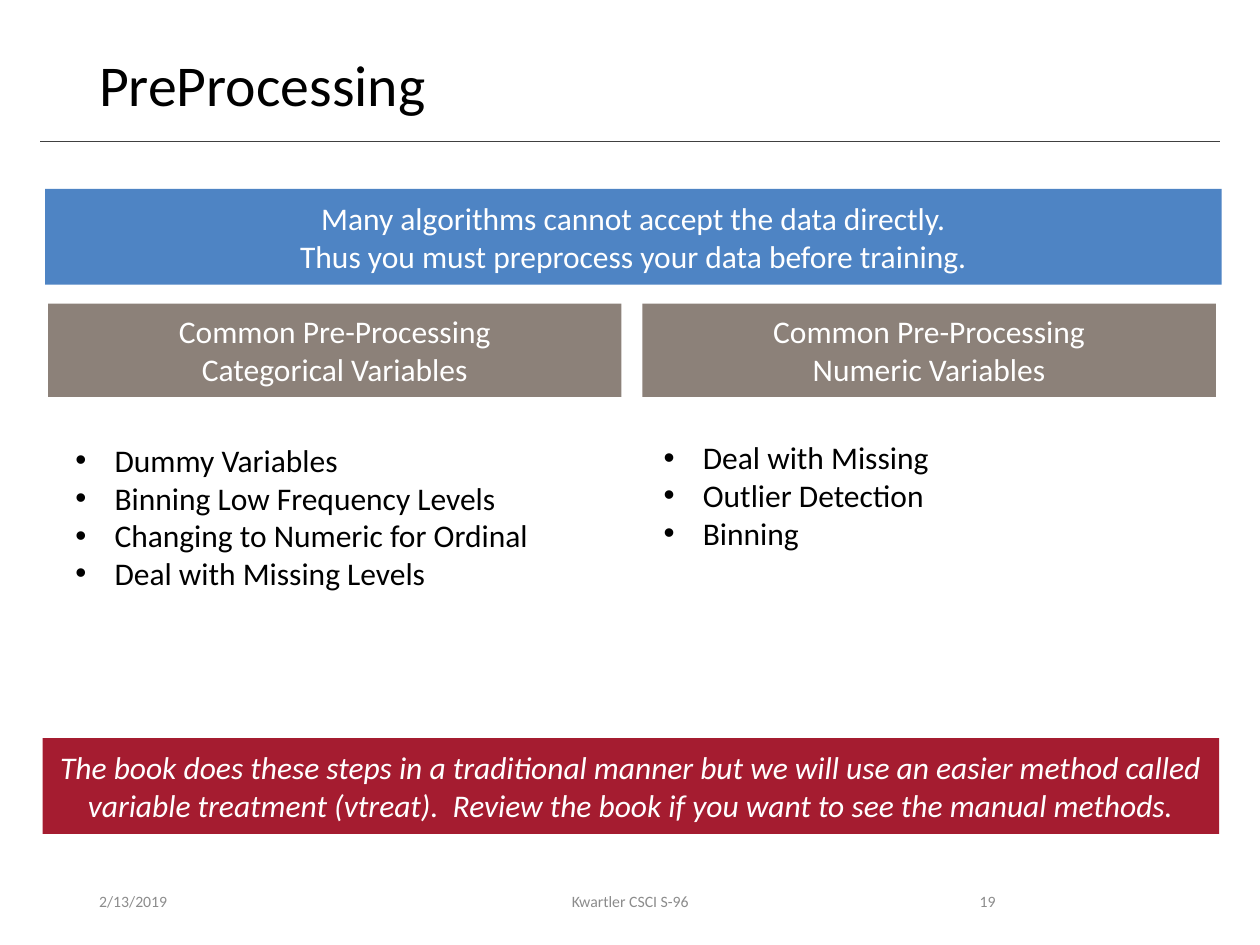
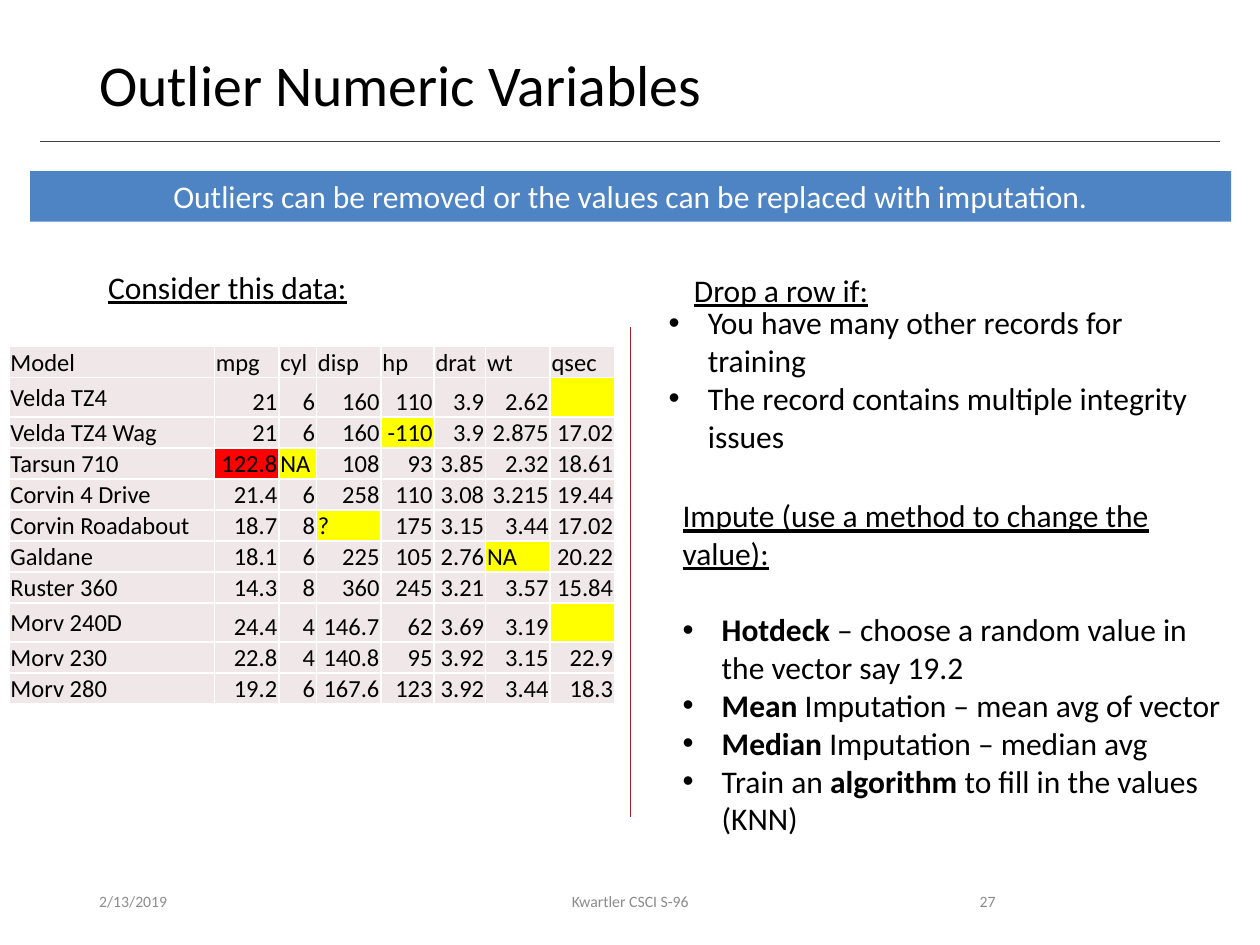
import pptx
import pptx.dml.color
import pptx.enum.shapes
import pptx.enum.text
import pptx.oxml
import pptx.oxml.ns
import pptx.util

Cm = pptx.util.Cm
Pt = pptx.util.Pt
RGBColor = pptx.dml.color.RGBColor
Align = pptx.enum.text.PP_ALIGN
Anchor = pptx.enum.text.MSO_ANCHOR

BLACK = RGBColor(0x00, 0x00, 0x00)
WHITE = RGBColor(0xFF, 0xFF, 0xFF)
BLUE = RGBColor(0x4E, 0x84, 0xC4)
TAUPE = RGBColor(0x8C, 0x81, 0x79)
CRIMSON = RGBColor(0xA5, 0x1C, 0x30)
RULE_GREY = RGBColor(0x40, 0x40, 0x40)
FOOTER_GREY = RGBColor(0x8C, 0x8C, 0x8C)
CELL_PINK = RGBColor(0xF0, 0xE8, 0xE8)
YELLOW = RGBColor(0xFF, 0xFF, 0x00)
RED = RGBColor(0xFF, 0x00, 0x00)

FONT = "Calibri"
BODY_SIZE = 18
LINE_HEIGHT = 22
BULLET_INDENT = Cm(0.79)
NAMESPACE = pptx.oxml.ns.nsdecls("a")
COLUMN_WIDTHS = (4.14, 1.3, 0.76, 1.3, 1.07, 1.04, 1.3, 1.3)
ROW_HEIGHT = 0.62
CELL_FLAGS = {"": YELLOW, "NA": YELLOW, "?": YELLOW, "-110": YELLOW, "122.8": RED}
CAR_ROWS = """Model,mpg,cyl,disp,hp,drat,wt,qsec
Velda TZ4,21,6,160,110,3.9,2.62,
Velda TZ4 Wag,21,6,160,-110,3.9,2.875,17.02
Tarsun 710,122.8,NA,108,93,3.85,2.32,18.61
Corvin 4 Drive,21.4,6,258,110,3.08,3.215,19.44
Corvin Roadabout,18.7,8,?,175,3.15,3.44,17.02
Galdane,18.1,6,225,105,2.76,NA,20.22
Ruster 360,14.3,8,360,245,3.21,3.57,15.84
Morv 240D,24.4,4,146.7,62,3.69,3.19,
Morv 230,22.8,4,140.8,95,3.92,3.15,22.9
Morv 280,19.2,6,167.6,123,3.92,3.44,18.3"""


def apply_format(target, values):
    for name, value in values.items():
        setattr(target, name, value)


class Deck:
    def __init__(self):
        self.presentation = pptx.Presentation()
        apply_format(self.presentation, {"slide_width": Cm(25.4), "slide_height": Cm(19.05)})
        self.slide = None

    def start_slide(self, title, number):
        self.slide = self.presentation.slides.add_slide(self.presentation.slide_layouts[6])
        self.line((0.81, 2.85), (24.59, 2.85), RULE_GREY)
        self.text((1.75, 1.02, 21.9, 1.65), [title], size=33, line_spacing=0.9)
        footers = (
            ("2/13/2019", 1.75, 5.72, Align.LEFT),
            ("Kwartler CSCI S-96", 8.41, 8.59, Align.CENTER),
            (number, 17.93, 2.39, Align.RIGHT),
        )
        for words, left, width, alignment in footers:
            frame = self.text((left, 17.65, width, 1.02), [words], size=9,
                              color=FOOTER_GREY, alignment=alignment)
            frame.vertical_anchor = Anchor.MIDDLE

    def add_lines(self, frame, lines, size=BODY_SIZE, color=BLACK, bullet=False,
                  font_format=None, **paragraph_format):
        for line in lines:
            paragraph = frame.paragraphs[0]
            if paragraph.runs:
                paragraph = frame.add_paragraph()
            apply_format(paragraph, paragraph_format)
            if bullet:
                self.add_bullet(paragraph)
            for index, words in enumerate(line.split("*")):
                if words or not line:
                    run = paragraph.add_run()
                    run.text = words
                    apply_format(run.font, {"name": FONT, "size": Pt(size),
                                            "bold": index % 2 == 1})
                    apply_format(run.font, font_format or {})
                    run.font.color.rgb = color

    def add_bullet(self, paragraph):
        properties = paragraph._p.get_or_add_pPr()
        properties.set("marL", str(BULLET_INDENT))
        properties.set("indent", str(-BULLET_INDENT))
        for element in ('buFont {} typeface="Arial"', 'buChar {} char="•"'):
            properties.append(pptx.oxml.parse_xml(f"<a:{element.format(NAMESPACE)}/>"))

    def text(self, box, lines, **formats):
        frame = self.slide.shapes.add_textbox(*map(Cm, box)).text_frame
        frame.word_wrap = True
        self.add_lines(frame, lines, **formats)
        return frame

    def band(self, box, lines, color, **formats):
        rectangle = pptx.enum.shapes.MSO_SHAPE.RECTANGLE
        shape = self.slide.shapes.add_shape(rectangle, *map(Cm, box))
        shape.shadow.inherit = False
        shape.fill.solid()
        shape.fill.fore_color.rgb = color
        shape.line.fill.background()
        apply_format(shape.text_frame, {"word_wrap": True, "vertical_anchor": Anchor.MIDDLE})
        self.add_lines(shape.text_frame, lines, color=WHITE, alignment=Align.CENTER, **formats)

    def line(self, start, end, color):
        straight = pptx.enum.shapes.MSO_CONNECTOR.STRAIGHT
        connector = self.slide.shapes.add_connector(straight, *map(Cm, start + end))
        connector.line.color.rgb = color
        connector.line.width = Pt(0.5)
        connector._element.spPr.append(pptx.oxml.parse_xml(f"<a:effectLst {NAMESPACE}/>"))

    def table(self, left, top, rows):
        size = (sum(COLUMN_WIDTHS), ROW_HEIGHT * len(rows))
        table = self.slide.shapes.add_table(
            len(rows), len(COLUMN_WIDTHS), *map(Cm, (left, top) + size)).table
        apply_format(table, {"first_row": False, "horz_banding": False})
        for column, width in zip(table.columns, COLUMN_WIDTHS):
            column.width = Cm(width)
        for row_index, row in enumerate(rows):
            table.rows[row_index].height = Cm(ROW_HEIGHT)
            for column_index, value in enumerate(row):
                self.cell(table.cell(row_index, column_index), value,
                          is_label=row_index == 0 or column_index == 0,
                          anchor=Anchor.BOTTOM if column_index else Anchor.MIDDLE)

    def cell(self, cell, value, is_label, anchor):
        apply_format(cell, {"margin_left": Cm(0.03), "margin_right": Cm(0.03),
                            "margin_top": Cm(0.03), "margin_bottom": 0,
                            "vertical_anchor": anchor})
        is_text = is_label or value in ("NA", "?")
        self.add_lines(cell.text_frame, [value], size=14,
                       alignment=Align.LEFT if is_text else Align.RIGHT)
        properties = cell._tc.get_or_add_tcPr()
        for side in ("lnL", "lnR", "lnT", "lnB"):
            properties.append(pptx.oxml.parse_xml(
                f'<a:{side} {NAMESPACE} w="{Pt(1)}"><a:solidFill>'
                f'<a:srgbClr val="{WHITE}"/></a:solidFill></a:{side}>'))
        cell.fill.solid()
        cell.fill.fore_color.rgb = CELL_FLAGS.get(value, CELL_PINK)


deck = Deck()

deck.start_slide("PreProcessing", "19")
deck.band((0.91, 3.81, 23.72, 1.93),
          ["Many algorithms cannot accept the data directly.",
           "Thus you must preprocess your data before training."], BLUE)
for left, kind in ((0.97, "Categorical"), (12.95, "Numeric")):
    deck.band((left, 6.12, 11.56, 1.88),
              ["Common Pre-Processing", f"{kind} Variables"], TAUPE)
deck.text((1.27, 8.76, 9.75, 3.33),
          ["Dummy Variables", "Binning Low Frequency Levels",
           "Changing to Numeric for Ordinal", "Deal with Missing Levels"], bullet=True)
deck.text((13.13, 8.71, 5.97, 2.57),
          ["Deal with Missing", "Outlier Detection", "Binning"], bullet=True)
deck.band((0.86, 14.88, 23.72, 1.93),
          ["The book does these steps in a traditional manner but we will use an easier "
           "method called variable treatment (vtreat).  Review the book if you want to "
           "see the manual methods."], CRIMSON, font_format={"italic": True})

deck.start_slide("Outlier Numeric Variables", "27")
deck.band((0.61, 3.45, 24.21, 1.02),
          ["Outliers can be removed or the values can be replaced with imputation."], BLUE)
underlined = {"underline": True}
deck.text((1.93, 5.28, 5.38, 1.02), ["Consider this data:"], font_format=underlined)
deck.table(0.18, 6.99, [row.split(",") for row in CAR_ROWS.splitlines()])
deck.line((12.7, 6.6), (12.7, 16.46), CRIMSON)
deck.text((13.74, 5.33, 4.1, 1.02), ["Drop a row if:"], font_format=underlined)
deck.text((13.23, 5.99, 11.18, 3.33),
          ["You have many other records for training",
           "The record contains multiple integrity issues"], bullet=True)
impute_frame = deck.text((13.51, 9.88, 11.4, 7.19),
                         ["Impute (use a method to change the value):"],
                         font_format=underlined, space_after=Pt(LINE_HEIGHT))
deck.add_lines(impute_frame,
               ["*Hotdeck* – choose a random value in the vector say 19.2",
                "*Mean* Imputation – mean avg of vector",
                "*Median* Imputation – median avg",
                "Train an *algorithm* to fill in the values (KNN)"], bullet=True)

deck.presentation.save("out.pptx")
